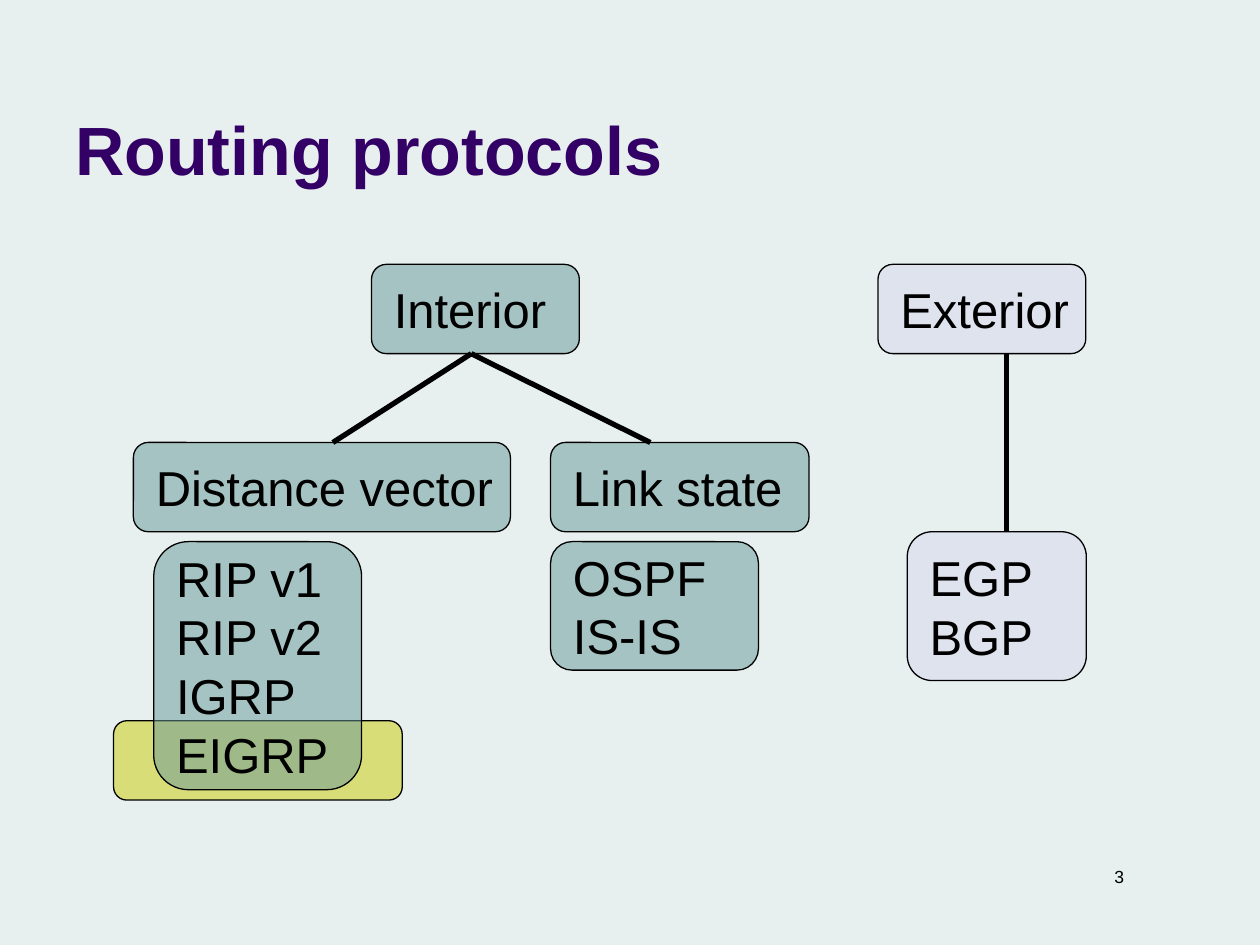
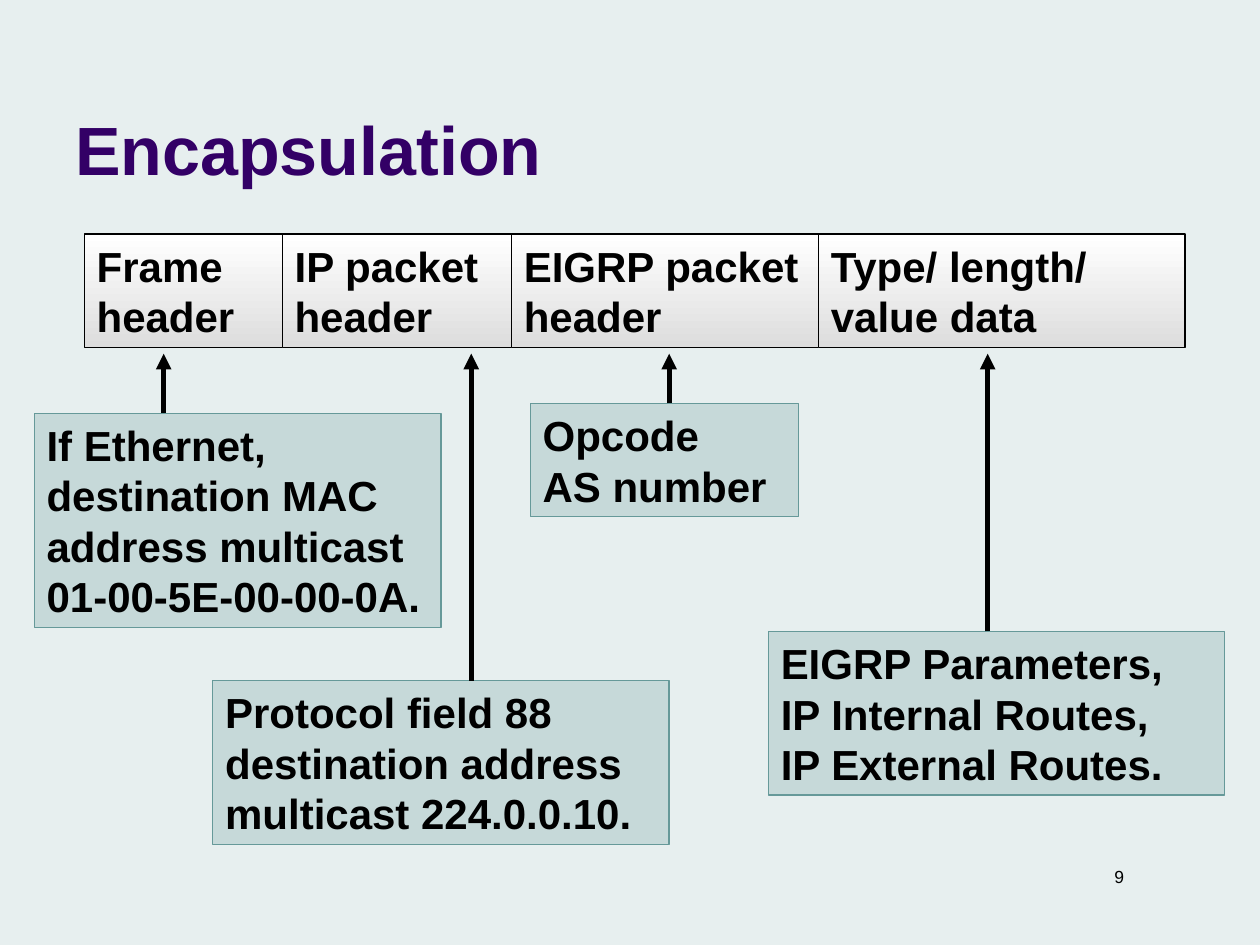
from pptx import Presentation
from pptx.dml.color import RGBColor
from pptx.enum.shapes import MSO_CONNECTOR as Connector, MSO_SHAPE as Preset
from pptx.enum.text import MSO_ANCHOR as Anchor, PP_ALIGN as Align
from pptx.oxml.ns import qn
from pptx.oxml.xmlchemy import OxmlElement
from pptx.util import Cm, Pt

BACKGROUND, PURPLE, BLACK = "E7EFEF", "330066", "000000"
TEAL, LAVENDER, YELLOW = "669999", "D8D8EC", "CCCC00"
CORNER = 0.167


def paint(fill, colour):
    fill.solid()
    fill.fore_color.rgb = RGBColor.from_string(colour)


def add_box(slide, text, box, preset=None, fill=None, opacity=100, line=BLACK,
            size=24, bold=False, colour=BLACK, align=Align.LEFT, anchor=Anchor.MIDDLE):
    """Add a text box, or a shape when a preset is named; box is in centimetres."""
    position = [Cm(value) for value in box]
    left_inset, right_inset = 0.25, 0.25
    if preset is None:
        shape = slide.shapes.add_textbox(*position)
    else:
        shape = slide.shapes.add_shape(preset, *position)
        shape.shadow.inherit = False
        paint(shape.line.fill, line)
        shape.line.width = Pt(0.75)
        if isinstance(fill, tuple):
            shape.fill.gradient()
            shape.fill.gradient_angle = 270
            for stop, stop_colour in zip(shape.fill.gradient_stops, fill):
                stop.color.rgb = RGBColor.from_string(stop_colour)
        else:
            paint(shape.fill, fill)
            alpha = OxmlElement("a:alpha")
            alpha.set("val", str(opacity * 1000))
            shape.element.spPr.find(qn("a:solidFill"))[0].append(alpha)
        if preset == Preset.ROUNDED_RECTANGLE:
            shape.adjustments[0] = CORNER
            # Rounded corners already push the text inwards
            left_inset = 0.45 - 0.29 * CORNER * min(box[2:])
            right_inset = 0
    if not text:
        return
    frame = shape.text_frame
    frame.word_wrap = True
    frame.vertical_anchor = anchor
    frame.margin_left, frame.margin_right = Cm(left_inset), Cm(right_inset)
    frame.margin_top = frame.margin_bottom = Cm(0.13)
    frame.text = text
    for paragraph in frame.paragraphs:
        paragraph.alignment = align
        paragraph.line_spacing = Pt(1.2 * size)
        font = paragraph.font
        font.name, font.size, font.bold = "Arial", Pt(size), bold
        paint(font.fill, colour)


presentation = Presentation()
presentation.slide_width, presentation.slide_height = Cm(25.4), Cm(19.05)

# Background, number and title of every slide
slides = []
for title, number in (("Routing protocols", 3), ("Encapsulation", 9)):
    slide = presentation.slides.add_slide(presentation.slide_layouts[6])
    paint(slide.background.fill, BACKGROUND)
    add_box(slide, str(number), (17.7, 17.32, 5.21, 0.69), size=10, align=Align.RIGHT)
    add_box(slide, title, (1.27, 0.33, 20.96, 3.61), size=39, bold=True,
            colour=PURPLE, anchor=Anchor.BOTTOM)
    slides.append(slide)
protocols_slide, encapsulation_slide = slides

# Protocol tree; the highlight lies behind the list that holds EIGRP
FAMILY_TOP, KIND_TOP, LIST_TOP, EXTERIOR_LIST_TOP = 5.33, 8.92, 10.92, 10.72
HEADING_HEIGHT = 1.8
tree_boxes = [
    ("", (2.29, 14.53, 5.82, 1.6), YELLOW),
    ("RIP v1\nRIP v2\nIGRP\nEIGRP", (3.1, LIST_TOP, 4.19, 5), TEAL),
    ("OSPF\nIS-IS", (11.1, LIST_TOP, 4.19, 2.59), TEAL),
    ("EGP\nBGP", (18.29, EXTERIOR_LIST_TOP, 3.61, 3), LAVENDER),
    ("Link state", (11.1, KIND_TOP, 5.21, HEADING_HEIGHT), TEAL),
    ("Distance vector", (2.69, KIND_TOP, 7.6, HEADING_HEIGHT), TEAL),
    ("Exterior", (17.7, FAMILY_TOP, 4.19, HEADING_HEIGHT), LAVENDER),
    ("Interior", (7.49, FAMILY_TOP, 4.19, HEADING_HEIGHT), TEAL),
]
for text, box, fill in tree_boxes:
    add_box(protocols_slide, text, box, preset=Preset.ROUNDED_RECTANGLE,
            fill=fill, opacity=50, size=28)

family_bottom = FAMILY_TOP + HEADING_HEIGHT
links = [
    (protocols_slide, (20.29, family_bottom, 20.29, EXTERIOR_LIST_TOP), False),
    (protocols_slide, (9.5, family_bottom, 6.71, KIND_TOP), False),
    (protocols_slide, (9.5, family_bottom, 13.11, KIND_TOP), False),
]

# Packet fields side by side
left = 1.7
for text, width in (("Frame header", 3.99), ("IP packet header", 4.62),
                    ("EIGRP packet header", 6.19), ("Type/ length/ value data", 7.39)):
    add_box(encapsulation_slide, text, (left, 4.72, width, 2.29),
            preset=Preset.RECTANGLE, fill=("FFFFFF", "DDDDDD"), bold=True)
    left += width

# Notes, each with the horizontal place of its arrow
notes = [
    ("EIGRP Parameters,\nIP Internal Routes,\nIP External Routes.",
     (15.49, 12.73, 9.2, 3.3), 19.91),
    ("Opcode\nAS number", (10.69, 8.13, 5.41, 2.29), 13.49),
    ("Protocol field 88\ndestination address multicast 224.0.0.10.",
     (4.29, 13.72, 9.2, 3.3), 9.5),
    ("If Ethernet, destination MAC address multicast\n01-00-5E-00-00-0A.",
     (0.69, 8.33, 8.2, 4.32), 3.3),
]
for text, box, arrow_left in notes:
    add_box(encapsulation_slide, text, box, preset=Preset.RECTANGLE,
            fill=TEAL, opacity=25, line=TEAL, bold=True)
    links.append((encapsulation_slide, (arrow_left, box[1], arrow_left, 7.13), True))

# Tree lines and note arrows
for slide, ends, has_arrow in links:
    connector = slide.shapes.add_connector(Connector.STRAIGHT, *[Cm(end) for end in ends])
    paint(connector.line.fill, BLACK)
    connector.line.width = Pt(3)
    properties = connector.element.spPr
    if has_arrow:
        arrowhead = OxmlElement("a:tailEnd")
        arrowhead.set("type", "triangle")
        properties.find(qn("a:ln")).append(arrowhead)
    properties.append(OxmlElement("a:effectLst"))

presentation.save("out.pptx")
